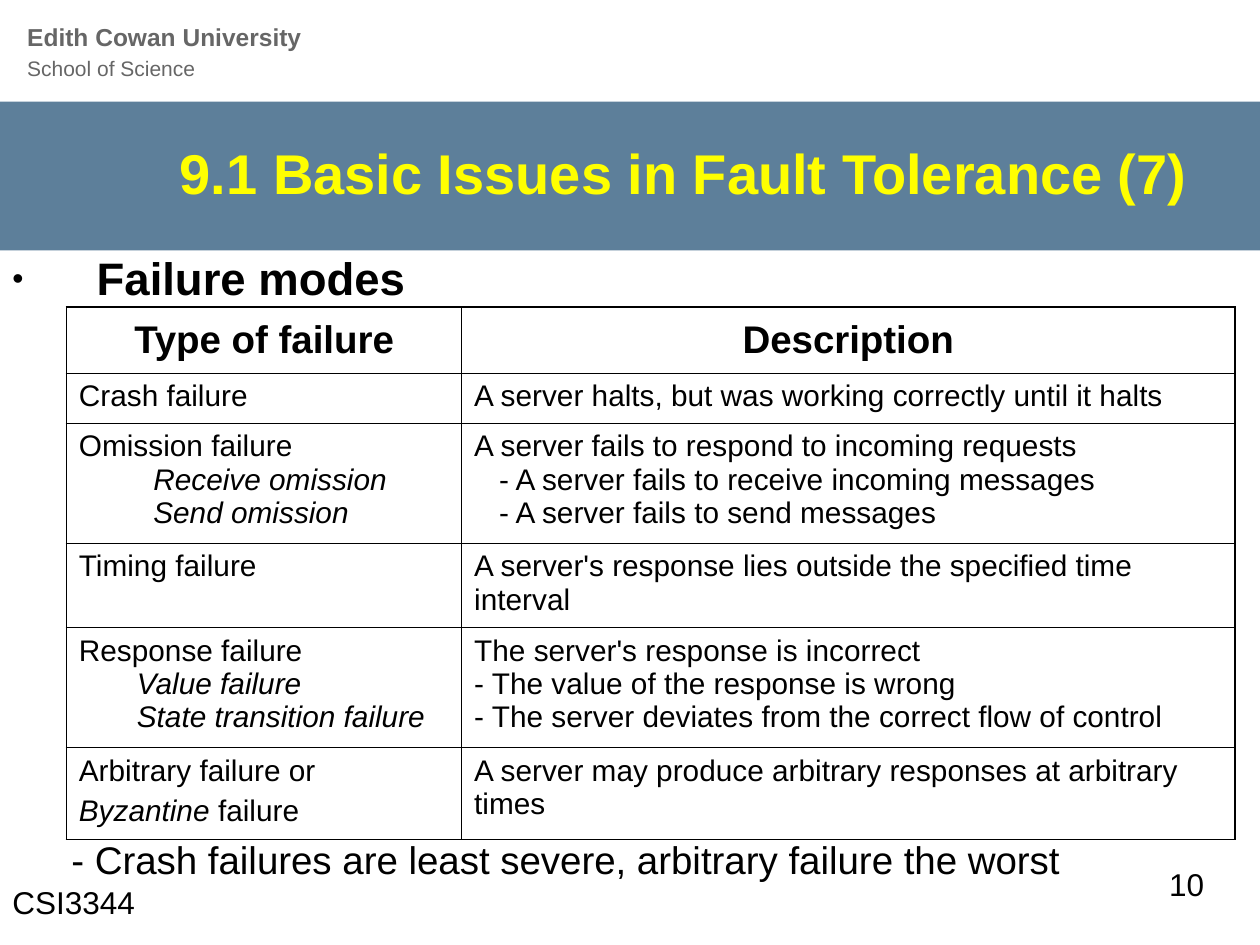
from lxml import etree
from pptx import Presentation
from pptx.dml.color import RGBColor
from pptx.enum.shapes import MSO_SHAPE
from pptx.enum.text import MSO_ANCHOR, MSO_AUTO_SIZE, PP_ALIGN
from pptx.oxml.ns import qn
from pptx.util import Cm, Pt

LEFT, CENTER, RIGHT = PP_ALIGN.LEFT, PP_ALIGN.CENTER, PP_ALIGN.RIGHT
TOP, MIDDLE = MSO_ANCHOR.TOP, MSO_ANCHOR.MIDDLE
BLACK = RGBColor(0x00, 0x00, 0x00)
GREY = RGBColor(0x66, 0x66, 0x66)
YELLOW = RGBColor(0xFF, 0xFF, 0x00)
BAND_BLUE = RGBColor(0x5D, 0x7F, 0x9A)
FONT = "Arial"

# Content
TITLE = "9.1 Basic Issues in Fault Tolerance (7)"
UNIVERSITY, SCHOOL = "Edith Cowan University", "School of Science"
HEADING = "Failure modes"
# Plain text boxes: text, size, (left, top, width, height) in cm
NOTES = [
    ("CSI3344", 18, (0, 17.68, 5.49, 1.27)),
    ("10", 18, (23.32, 17.32, 1.57, 1.27)),
    ("- Crash failures are least severe, arbitrary failure the worst",
     22, (1.19, 16.84, 22.81, 1.47)),
]
HEADERS = ["Type of failure", "Description"]
# Each cell is a list of paragraphs: (indent in cm, space before, [(text, italic)])
ROWS = [
    ([(0, 0, [("Crash failure", False)])],
     [(0, 0, [("A server halts, but was working correctly until it halts", False)])]),
    ([(0, 0, [("Omission failure", False)]),
      (1.5, 0, [("Receive omission", True)]),
      (1.5, 0, [("Send omission", True)])],
     [(0, 0, [("A server fails to respond to incoming requests", False)]),
      (0.5, 0, [("- A server fails to receive incoming messages", False)]),
      (0.5, 0, [("- A server fails to send messages", False)])]),
    ([(0, 0, [("Timing failure", False)])],
     [(0, 0, [("A server's response lies outside the specified time interval", False)])]),
    ([(0, 0, [("Response failure", False)]),
      (1.17, 0, [("Value failure", True)]),
      (1.17, 0, [("State transition failure", True)])],
     [(0, 0, [("The server's response is incorrect", False)]),
      (0, 0, [("- The value of the response is wrong", False)]),
      (0, 0, [("- The server deviates from the correct flow of control", False)])]),
    ([(0, 0, [("Arbitrary failure or", False)]),
      (0, 4.2, [("Byzantine", True), (" failure", False)])],
     [(0, 0, [("A server may produce arbitrary responses at arbitrary times", False)])]),
]
COLUMN_WIDTHS = [7.97, 15.58]
ROW_HEIGHTS = [1.33, 1.01, 2.42, 1.69, 2.42, 1.85]
TABLE_LEFT, TABLE_TOP = 1.34, 6.19
OUTER_LINE, INNER_LINE = Pt(1.08), Pt(0.45)


def add_run(paragraph, text, size, color=BLACK, bold=False, italic=False):
    run = paragraph.add_run()
    run.text = text
    font = run.font
    font.name, font.size, font.bold, font.italic = FONT, Pt(size), bold, italic
    font.color.rgb = color


def add_text_box(slide, place):
    frame = slide.shapes.add_textbox(*map(Cm, place)).text_frame
    frame.word_wrap = True
    return frame.paragraphs[0]


def set_margin(paragraph, left, hanging=0):
    properties = paragraph._p.get_or_add_pPr()
    properties.set("marL", str(Cm(left)))
    properties.set("indent", str(-Cm(hanging)))
    return properties


def add_bullet(paragraph, character, percent, indent):
    properties = set_margin(paragraph, indent, indent)
    color = etree.SubElement(properties, qn("a:buClr"))
    etree.SubElement(color, qn("a:srgbClr"), val=str(BLACK))
    etree.SubElement(properties, qn("a:buSzPct"), val=str(percent * 1000))
    etree.SubElement(properties, qn("a:buFont"), typeface=FONT)
    etree.SubElement(properties, qn("a:buChar"), char=character)


def set_borders(cell, outer_sides):
    properties = cell._tc.get_or_add_tcPr()
    for side in "LRTB":
        width = OUTER_LINE if side in outer_sides else INNER_LINE
        line = etree.SubElement(properties, qn(f"a:ln{side}"), w=str(width))
        fill = etree.SubElement(line, qn("a:solidFill"))
        etree.SubElement(fill, qn("a:srgbClr"), val=str(BLACK))


def fill_cell(cell, paragraphs, size, bold, alignment, anchor):
    cell.vertical_anchor = anchor
    cell.margin_left = cell.margin_right = Cm(0.25)
    cell.margin_top = cell.margin_bottom = Cm(0.13)
    for index, (indent, space, runs) in enumerate(paragraphs):
        frame = cell.text_frame
        paragraph = frame.add_paragraph() if index else frame.paragraphs[0]
        set_margin(paragraph, indent)
        paragraph.alignment = alignment
        paragraph.space_before = Pt(space)
        for text, italic in runs:
            add_run(paragraph, text, size, bold=bold, italic=italic)


def add_failure_table(slide):
    header = [[(0, 0, [(text, False)])] for text in HEADERS]
    content = [header, *ROWS]
    last_row, last_column = len(content) - 1, len(HEADERS) - 1
    table = slide.shapes.add_table(
        len(content), len(HEADERS), Cm(TABLE_LEFT), Cm(TABLE_TOP),
        Cm(sum(COLUMN_WIDTHS)), Cm(sum(ROW_HEIGHTS))).table
    table.first_row = table.horz_banding = False
    for column, width in zip(table.columns, COLUMN_WIDTHS):
        column.width = Cm(width)
    for row, height in zip(table.rows, ROW_HEIGHTS):
        row.height = Cm(height)
    for r, row in enumerate(content):
        style = (17, False, LEFT, TOP) if r else (22, True, CENTER, MIDDLE)
        for c, paragraphs in enumerate(row):
            cell = table.cell(r, c)
            fill_cell(cell, paragraphs, *style)
            edges = {"L": c == 0, "R": c == last_column, "T": r == 0, "B": r == last_row}
            set_borders(cell, [side for side, outer in edges.items() if outer])
            cell.fill.background()


def main():
    presentation = Presentation()
    presentation.slide_width, presentation.slide_height = Cm(25.4), Cm(19.05)
    slide = presentation.slides.add_slide(presentation.slide_layouts[5])

    # Title on its band
    title = slide.shapes.title
    band = slide.shapes.add_shape(
        MSO_SHAPE.RECTANGLE, 0, Cm(2.05), presentation.slide_width, Cm(3))
    band.shadow.inherit = False
    band.fill.solid()
    band.fill.fore_color.rgb = BAND_BLUE
    band.line.fill.background()
    title.element.addprevious(band.element)
    title.left, title.top, title.width, title.height = map(Cm, (1.35, 2.57, 22.86, 1.8))
    title.text_frame.auto_size = MSO_AUTO_SIZE.NONE
    title.text_frame.vertical_anchor = MIDDLE
    paragraph = title.text_frame.paragraphs[0]
    paragraph.alignment = RIGHT
    add_run(paragraph, TITLE, 32, YELLOW, bold=True)

    # School header
    paragraph = add_text_box(slide, (0.3, 0.33, 14.96, 1.45))
    paragraph.line_spacing = Pt(16.7)
    add_run(paragraph, UNIVERSITY, 14, GREY, bold=True)
    paragraph.add_line_break()
    add_run(paragraph, SCHOOL, 12, GREY)

    # Heading with bullet
    paragraph = add_text_box(slide, (0, 5.05, 21.79, 1.47))
    add_bullet(paragraph, "•", 70, 1.7)
    paragraph.line_spacing = 0.9
    add_run(paragraph, HEADING, 26, bold=True)

    # Table, remark and footer
    add_failure_table(slide)
    for text, size, place in NOTES:
        paragraph = add_text_box(slide, place)
        paragraph.line_spacing = 0.9 if size == 22 else 1.0
        add_run(paragraph, text, size)

    presentation.save("out.pptx")


if __name__ == "__main__":
    main()
